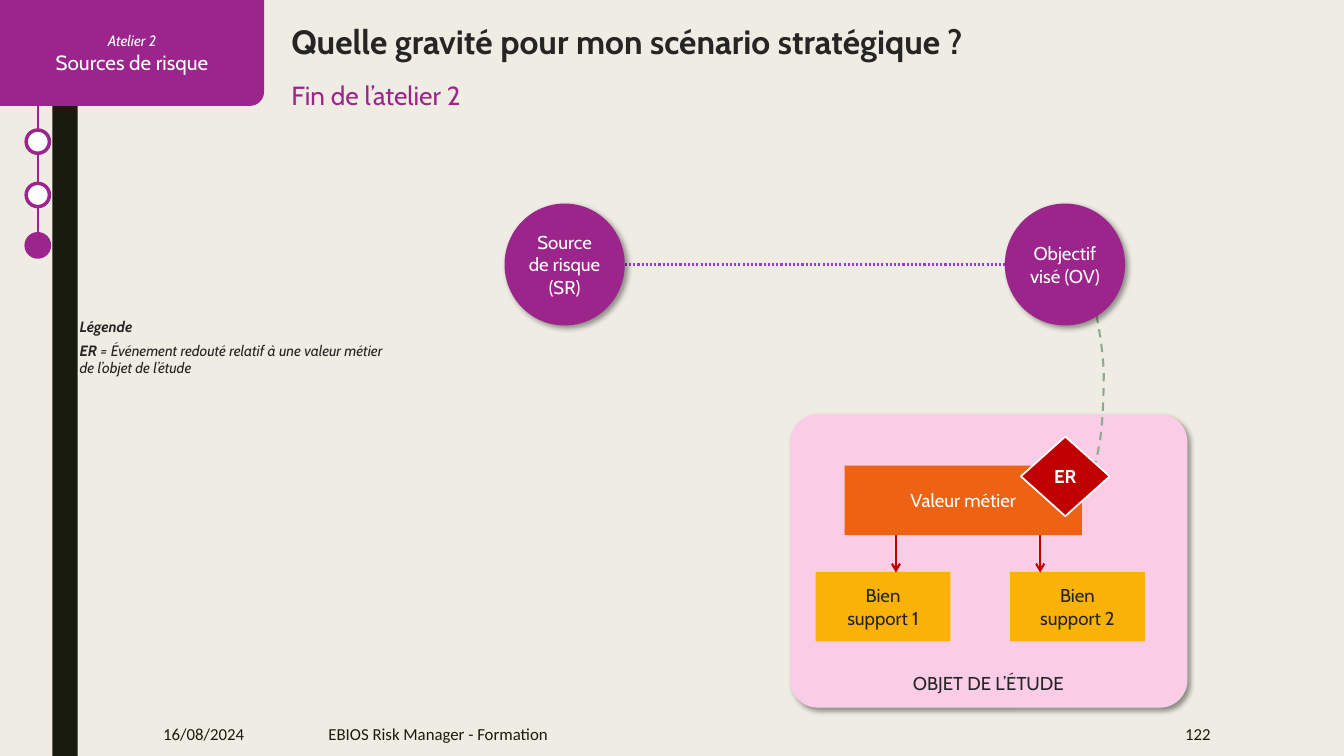
import pptx
import pptx.dml.color
import pptx.enum.dml
import pptx.enum.shapes
import pptx.enum.text
import pptx.oxml
import pptx.util
from lxml import etree

Pt = pptx.util.Pt
SHAPES = pptx.enum.shapes.MSO_SHAPE
DASHES = pptx.enum.dml.MSO_LINE
LEFT, CENTER, RIGHT = (getattr(pptx.enum.text.PP_ALIGN, name) for name in ("LEFT", "CENTER", "RIGHT"))
TOP, MIDDLE = pptx.enum.text.MSO_ANCHOR.TOP, pptx.enum.text.MSO_ANCHOR.MIDDLE
NAMESPACE = "http://schemas.openxmlformats.org/drawingml/2006/main"

PURPLE, DARK, INK, WHITE, RED = "9C258D", "191B0E", "252525", "FFFFFF", "C00000"
NODE = (85.9, 87.1)
NODE_TOP = 145.4
SOURCE_LEFT, GOAL_LEFT = 360.4, 717.8


def color(value):
    return pptx.dml.color.RGBColor.from_string(value)


def add_xml(parent, xml):
    parent.append(pptx.oxml.parse_xml(xml.replace(">", f' xmlns:a="{NAMESPACE}">', 1)))


def paint(shape, fill=None, line=None, width=1, dash=None):
    shape.shadow.inherit = False
    if fill:
        shape.fill.solid()
        shape.fill.fore_color.rgb = color(fill)
    else:
        shape.fill.background()
    if line:
        shape.line.color.rgb = color(line)
        shape.line.width = Pt(width)
        shape.line.dash_style = dash
    else:
        shape.line.fill.background()


def set_text(shape, text, size, ink, font="Cabin", align=CENTER, anchor=MIDDLE, bold=False, italic=False, inset=0):
    frame = shape.text_frame
    frame.text = text
    frame.word_wrap = True
    frame.auto_size = pptx.enum.text.MSO_AUTO_SIZE.NONE
    frame.vertical_anchor = anchor
    frame.margin_left = frame.margin_right = Pt(inset)
    frame.margin_top = frame.margin_bottom = Pt(inset / 2)
    for para in frame.paragraphs:
        para.alignment = align
        para.font.name = font
        para.font.size = Pt(size)
        para.font.bold = bold
        para.font.italic = italic
        para.font.color.rgb = color(ink)


def add_figure(page, kind, left, top, width, height, fill, line=None, line_width=1):
    shape = page.shapes.add_shape(kind, Pt(left), Pt(top), Pt(width), Pt(height))
    paint(shape, fill, line, line_width)
    return shape


def add_text(page, left, top, width, height, text, size, ink, **style):
    box = page.shapes.add_textbox(Pt(left), Pt(top), Pt(width), Pt(height))
    set_text(box, text, size, ink, **style)
    return box


def add_line(page, start, end, ink, width, dash=None, arrow=False):
    line = page.shapes.add_connector(
        pptx.enum.shapes.MSO_CONNECTOR.STRAIGHT, *(Pt(value) for value in start + end))
    line.line.color.rgb = color(ink)
    line.line.width = Pt(width)
    line.line.dash_style = dash
    properties = line.line._get_or_add_ln()
    if arrow:
        add_xml(properties, '<a:tailEnd type="arrow"></a:tailEnd>')
    etree.SubElement(properties.getparent(), f"{{{NAMESPACE}}}effectLst")


def bezier(start, first, second, end, steps=12):
    """Points of a cubic curve, without its start."""
    for step in range(1, steps + 1):
        t = step / steps
        weights = ((1 - t) ** 3, 3 * t * (1 - t) ** 2, 3 * t * t * (1 - t), t ** 3)
        corners = (start, first, second, end)
        yield tuple(sum(w * c[axis] for w, c in zip(weights, corners)) for axis in (0, 1))


def add_outline(page, points, close):
    points = [(Pt(x), Pt(y)) for x, y in points]
    builder = page.shapes.build_freeform(*points[0], scale=1.0)
    builder.add_line_segments(points[1:], close=close)
    return builder.convert_to_shape()


def add_shadow(shape):
    effects = shape._element.spPr.find(f"{{{NAMESPACE}}}effectLst")
    add_xml(effects, '<a:outerShdw blurRad="50800" dist="38100" dir="2700000" algn="tl" rotWithShape="0">'
            '<a:srgbClr val="000000"><a:alpha val="40000"/></a:srgbClr></a:outerShdw>')


def add_node(page, left, text):
    node = add_figure(page, SHAPES.OVAL, left, NODE_TOP, *NODE, "9C258C")
    add_shadow(node)
    set_text(node, text, 13.3, WHITE)


def add_block(page, left, top, width, text, fill, ink):
    block = add_figure(page, SHAPES.RECTANGLE, left, top, width, 49.7, fill)
    set_text(block, text, 13.3, ink, inset=7.2)


def add_navigation(page):
    add_figure(page, SHAPES.RECTANGLE, 37.4, 0, 18, 540, DARK)
    add_line(page, (27, 64), (27, 184), PURPLE, 1.25)
    for top, fill in ((92.9, WHITE), (131, WHITE), (167, PURPLE)):
        add_figure(page, SHAPES.OVAL, 18.7, top, 16.6, 16.6, fill, PURPLE, 2.5)

    width, height, radius = 188.6, 75.6, 10
    corner = bezier((width, height - radius), (width, height - 4.5), (width - 4.5, height), (width - radius, height))
    tab = add_outline(page, [(0, 0), (width, 0), (width, height - radius), *corner, (0, height)], True)
    paint(tab, PURPLE)
    set_text(tab, "Atelier 2\nSources de risque", 14.7, WHITE, inset=7.2)
    workshop = tab.text_frame.paragraphs[0].font
    workshop.size = Pt(10.7)
    workshop.italic = True


def add_titles(page):
    title = page.shapes.title
    title.left, title.top, title.width, title.height = (Pt(value) for value in (208.1, 15.1, 717.8, 28.8))
    set_text(title, "Quelle gravité pour mon scénario stratégique ?", 24, INK, align=LEFT, anchor=TOP, bold=True)
    add_text(page, 208.1, 56.9, 676, 22.3, "Fin de l’atelier 2", 18.7, PURPLE, align=LEFT, anchor=TOP)


def add_study_object(page):
    for fill in (WHITE, "E6007E"):
        panel = add_figure(page, SHAPES.ROUNDED_RECTANGLE, 564.5, 295.9, 283.7, 209.5, fill)
        panel.adjustments[0] = 0.094
        if fill == WHITE:
            add_shadow(panel)
        else:
            tint = panel._element.spPr.find(f".//{{{NAMESPACE}}}srgbClr")
            add_xml(tint, '<a:alpha val="20000"></a:alpha>')
    for left, text in ((582.6, "Bien\nsupport 1"), (721.5, "Bien\vsupport 2")):
        add_block(page, left, 408.5, 96.3, text, "FBB208", INK)
    add_text(page, 640, 477.4, 132, 21.6, "OBJET DE L’ÉTUDE", 13.3, INK)
    for x in (640, 743):
        add_line(page, (x, 343.4), (x, 409), RED, 1.5, arrow=True)
    add_block(page, 603.3, 332.6, 169.5, "Valeur métier", "EE6213", WHITE)


def add_event_link(page):
    points = [(773.3, 342)]
    for bend in (((780.5, 338.4), (782.6, 332.6), (784.8, 319.7)),
                 ((787.7, 306.7), (788.4, 282.2), (788.4, 265.7)),
                 ((787.7, 248.4), (784.8, 233.3), (781.9, 218.2))):
        points += list(bezier(points[-1], *bend))
    paint(add_outline(page, points, False), None, "8DAB8E", 1.5, DASHES.DASH)


def add_legend(page):
    legend = add_text(page, 56.9, 226.8, 229, 42.5, "Légende\nER", 10.7, INK,
                      align=LEFT, anchor=TOP, bold=True, italic=True)
    heading, entry = legend.text_frame.paragraphs
    heading.space_after = entry.space_after = Pt(4)
    span = entry.add_run()
    span.text = " = Événement redouté relatif à une valeur métier de l’objet de l’étude"
    span.font.bold = False


def main():
    deck = pptx.Presentation()
    deck.slide_width, deck.slide_height = Pt(960), Pt(540)
    page = deck.slides.add_slide(deck.slide_layouts.get_by_name("Title Only"))
    page.background.fill.solid()
    page.background.fill.fore_color.rgb = color("EFEDE3")

    add_navigation(page)
    add_titles(page)
    middle = NODE_TOP + NODE[1] / 2
    add_line(page, (SOURCE_LEFT + NODE[0], middle), (GOAL_LEFT, middle), "923ED2", 1.5, DASHES.ROUND_DOT)
    add_node(page, SOURCE_LEFT, "Source\vde risque (SR)")
    add_study_object(page)
    add_event_link(page)
    event = add_figure(page, SHAPES.DIAMOND, 729.2, 311.8, 63.4, 56.9, RED, WHITE, 1.25)
    set_text(event, "ER", 13.3, WHITE, bold=True)
    add_node(page, GOAL_LEFT, "Objectif\vvisé (OV)")
    add_legend(page)
    for left, width, text, align in ((109.4, 95, "16/08/2024", LEFT),
                                     (227.5, 494.6, "EBIOS Risk Manager - Formation", LEFT),
                                     (745.9, 126, "122", RIGHT)):
        add_text(page, left, 508.3, width, 31.7, text, 12, DARK, font="Calibri", align=align, inset=7.2)
    deck.save("out.pptx")


if __name__ == "__main__":
    main()
